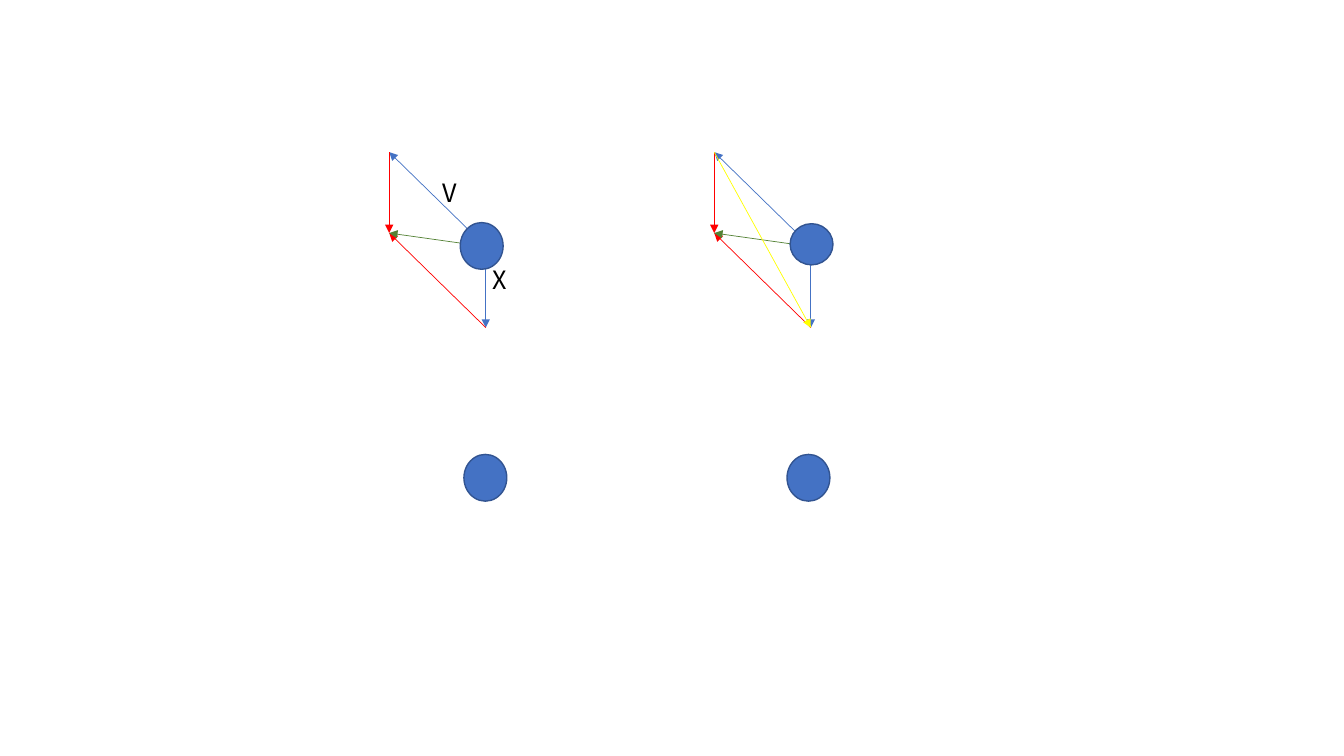
from lxml import etree
from pptx import Presentation
from pptx.dml.color import RGBColor
from pptx.enum import shapes as sh, text as tx
from pptx.oxml.ns import qn
from pptx.util import Pt

BLUE, RED, GREEN, YELLOW = "4472C4", "FF0000", "548235", "FFFF00"
EDGE, BLACK = "325491", "000000"
FONT = {"name": "Noto Sans CJK SC", "size": Pt(18)}
SHIFT = 232.2  # from the left diagram to the right one


def color(code):
    return RGBColor.from_string(code)


def arrow(slide, start, end, code):
    line = slide.shapes.add_connector(
        sh.MSO_CONNECTOR.STRAIGHT, *[Pt(v) for v in start + end])
    line.line.color.rgb = color(code)
    line.line.width = Pt(0.5)
    props = line._element.spPr
    etree.SubElement(props.find(qn("a:ln")), qn("a:tailEnd"), type="triangle")
    etree.SubElement(props, qn("a:effectLst"))


def label(slide, words, left, top, width):
    box = slide.shapes.add_textbox(Pt(left), Pt(top), Pt(width), Pt(29))
    frame = box.text_frame
    frame.word_wrap = True
    frame.auto_size = tx.MSO_AUTO_SIZE.SHAPE_TO_FIT_TEXT
    run = frame.paragraphs[0].add_run()
    run.text = words
    for key, value in FONT.items():
        setattr(run.font, key, value)
    run.font.color.rgb = color(BLACK)


def ball(slide, left, top, height=33.4):
    disc = slide.shapes.add_shape(
        sh.MSO_SHAPE.OVAL, Pt(left), Pt(top), Pt(30.6), Pt(height))
    disc.shadow.inherit = False
    disc.fill.solid()
    disc.fill.fore_color.rgb = color(BLUE)
    disc.line.color.rgb = color(EDGE)
    disc.line.width = Pt(1)


def vectors(slide, dx, cross=False):
    hub, low = (347 + dx, 176.2), (347 + dx, 234)
    top, sum_ = (278 + dx, 108.7), (278 + dx, 166.5)
    arrow(slide, hub, top, BLUE)
    arrow(slide, hub, low, BLUE)
    arrow(slide, top, sum_, RED)
    arrow(slide, low, sum_, RED)
    arrow(slide, hub, sum_, GREEN)
    if cross:
        arrow(slide, top, low, YELLOW)


def main():
    deck = Presentation()
    deck.slide_width, deck.slide_height = Pt(960), Pt(540)
    slide = deck.slides.add_slide(deck.slide_layouts[6])

    # Vector sums, the right one with its difference
    vectors(slide, 0)
    vectors(slide, SHIFT, cross=True)

    # Vector names
    label(slide, "V", 309, 123, 30)
    label(slide, "X", 345, 185, 72)

    # Lower balls, then the ones at the hubs
    for left in (331.4, 562.2):
        ball(slide, left, 324.6)
    ball(slide, 328.8, 159)
    ball(slide, 564.4, 159.8, 29.4)

    deck.save("out.pptx")


if __name__ == "__main__":
    main()
